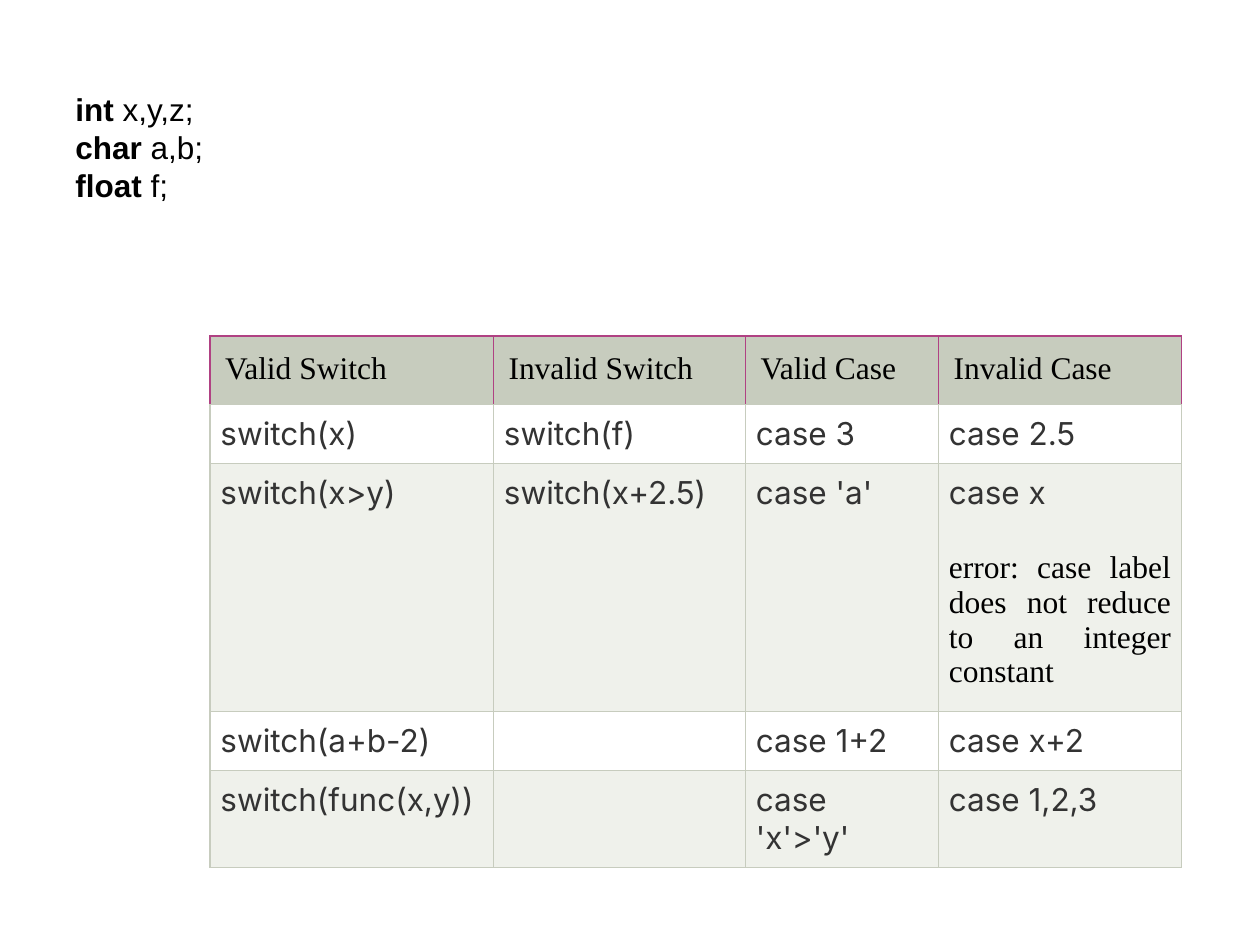
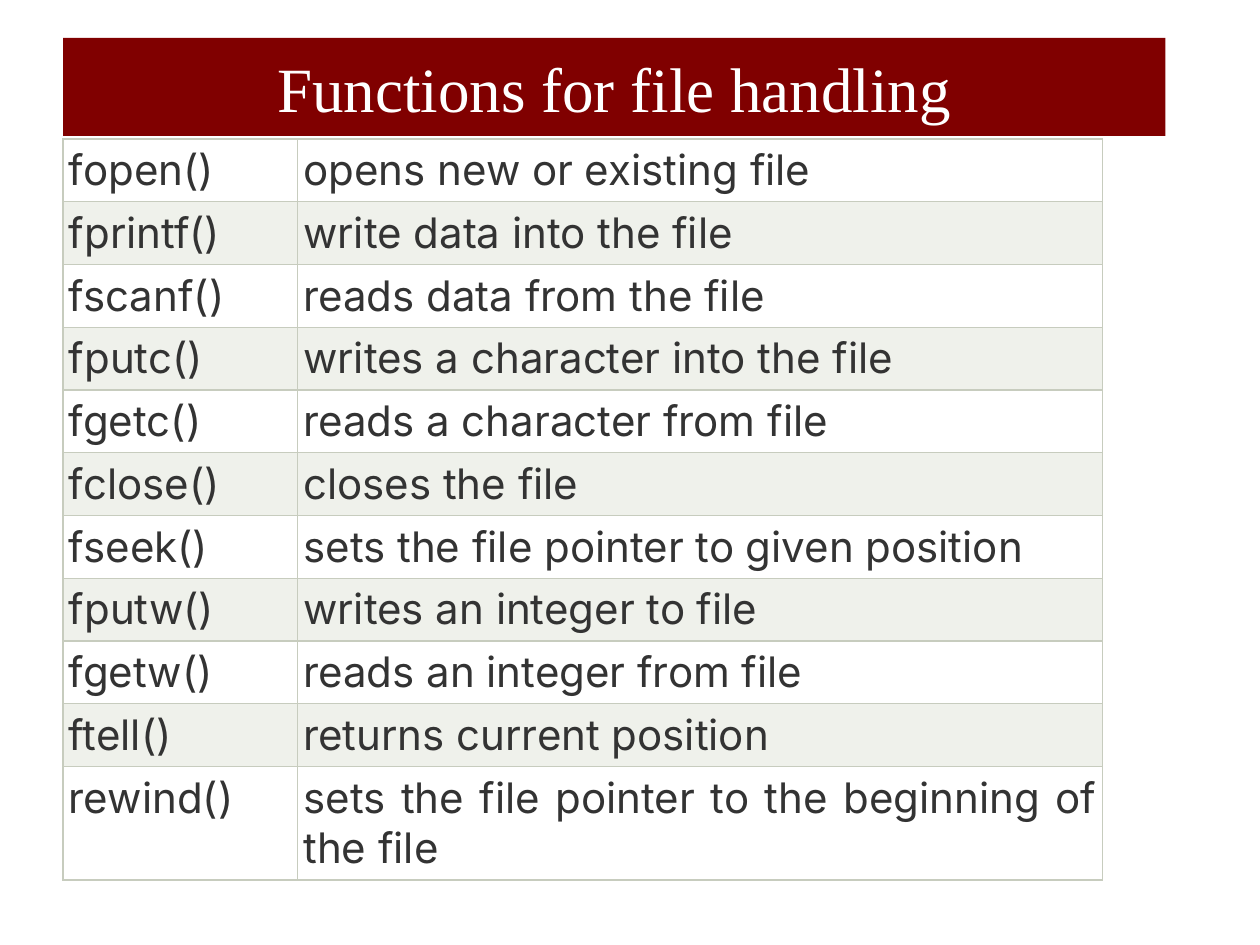
from dataclasses import dataclass

from lxml.etree import SubElement
from pptx import Presentation
from pptx.dml.color import RGBColor as RGB
from pptx.enum.text import MSO_ANCHOR as ANCHOR, PP_ALIGN as ALIGN
from pptx.oxml.ns import qn
from pptx.util import Pt


@dataclass(frozen=True)
class Theme:
    black: str = "000000"
    white: str = "FFFFFF"
    body_text: str = "333333"
    band: str = "EFF1EB"
    sage: str = "C7CCBE"
    magenta: str = "B04183"
    title_fill: str = "800000"
    code_font: str = "Arial"
    body_font: str = "Inter"
    serif_font: str = "Times New Roman"
    title_size: float = 36
    large_size: float = 24
    normal_size: float = 18
    border_width: float = 0.75


T = Theme()

DECLARATIONS = [("int", " x,y,z;"), ("char", " a,b;"), ("float", " f;")]

SWITCH_HEADERS = ["Valid Switch", "Invalid Switch", "Valid Case", "Invalid Case"]
SWITCH_ROWS = [
    ["switch(x)", "switch(f)", "case 3", "case 2.5"],
    ["switch(x>y)", "switch(x+2.5)", "case 'a'", "case x"],
    ["switch(a+b-2)", "", "case 1+2", "case x+2"],
    ["switch(func(x,y))", "", "case 'x'>'y'", "case 1,2,3"],
]
CASE_ERROR = "error: case label does not reduce to an integer constant"

FILE_FUNCTIONS = [
    ["fopen()", "opens new or existing file"],
    ["fprintf()", "write data into the file"],
    ["fscanf()", "reads data from the file"],
    ["fputc()", "writes a character into the file"],
    ["fgetc()", "reads a character from file"],
    ["fclose()", "closes the file"],
    ["fseek()", "sets the file pointer to given position"],
    ["fputw()", "writes an integer to file"],
    ["fgetw()", "reads an integer from file"],
    ["ftell()", "returns current position"],
    ["rewind()", "sets the file pointer to the beginning of the file"],
]


def place(shape, left, top, width, height):
    shape.left, shape.top = Pt(left), Pt(top)
    shape.width, shape.height = Pt(width), Pt(height)


def add_run(p, text, font, size, color, bold=False):
    r = p.add_run()
    r.text = text
    r.font.name, r.font.size, r.font.bold = font, Pt(size), bold
    r.font.color.rgb = RGB.from_string(color)


def add_title(s, text):
    title = s.shapes.title
    place(title, 36, 21.6, 630, 56)
    title.fill.solid()
    title.fill.fore_color.rgb = RGB.from_string(T.title_fill)
    tf = title.text_frame
    tf.vertical_anchor = ANCHOR.MIDDLE
    p = tf.paragraphs[0]
    p.alignment = ALIGN.CENTER
    add_run(p, text, T.serif_font, T.title_size, T.white)


def add_declarations(s, declarations):
    """Write C declarations, one a line, with the type in bold."""
    box = s.shapes.add_textbox(Pt(36), Pt(48), Pt(612), Pt(116.6))
    tf = box.text_frame
    tf.word_wrap = True
    for i, (c_type, names) in enumerate(declarations):
        p = tf.add_paragraph() if i else tf.paragraphs[0]
        p.line_spacing = Pt(21.7)
        add_run(p, c_type, T.code_font, T.normal_size, T.black, bold=True)
        add_run(p, names, T.code_font, T.normal_size, T.black)


def set_borders(cell, color, bottom):
    """Line the four edges of a cell; they must precede its fill in the XML."""
    tc_pr = cell._tc.get_or_add_tcPr()
    for edge in ("lnL", "lnR", "lnT", "lnB"):
        ln = SubElement(tc_pr, qn(f"a:{edge}"), w=str(Pt(T.border_width)))
        fill = SubElement(ln, qn("a:solidFill"))
        SubElement(fill, qn("a:srgbClr"), val=bottom if edge == "lnB" else color)


def format_cell(cell, fill, inset, border=T.sage):
    set_borders(cell, border, T.sage)
    cell.fill.solid()
    cell.fill.fore_color.rgb = RGB.from_string(fill)
    cell.margin_left = cell.margin_right = Pt(inset)
    cell.margin_top = cell.margin_bottom = Pt(inset)


def add_table(s, left, top, col_widths, row_heights):
    frame = s.shapes.add_table(len(row_heights), len(col_widths), Pt(left), Pt(top),
                               Pt(sum(col_widths)), Pt(sum(row_heights)))
    table = frame.table
    table.first_row = table.horz_banding = False
    for column, width in zip(table.columns, col_widths):
        column.width = Pt(width)
    for row, height in zip(table.rows, row_heights):
        row.height = Pt(height)
    return table


def fill_header(table, headers):
    for cell, text in zip(table.rows[0].cells, headers):
        format_cell(cell, T.sage, 8.64, T.magenta)
        add_run(cell.text_frame.paragraphs[0], text, T.serif_font, T.normal_size, T.black)


def fill_body(table, rows, first, size, inset):
    """Fill rows from index first on, alternating white and tinted bands."""
    for i, texts in enumerate(rows):
        for cell, text in zip(table.rows[first + i].cells, texts):
            format_cell(cell, T.band if i % 2 else T.white, inset)
            p = cell.text_frame.paragraphs[0]
            p.alignment = ALIGN.JUSTIFY
            if text:
                add_run(p, text, T.body_font, size, T.body_text)


def add_cell_note(cell, text):
    p = cell.text_frame.add_paragraph()
    p.alignment = ALIGN.JUSTIFY
    p.space_before = Pt(21.75)
    add_run(p, text, T.serif_font, T.normal_size, T.black)


def build_switch_slide(prs):
    s = prs.slides.add_slide(prs.slide_layouts[6])
    add_declarations(s, DECLARATIONS)
    table = add_table(s, 120, 192, [162, 144, 110.3, 138.9],
                      [39.4, 33.5, 141.4, 33.5, 55.5])
    fill_header(table, SWITCH_HEADERS)
    fill_body(table, SWITCH_ROWS, 1, T.normal_size, 6)
    add_cell_note(table.cell(2, 3), CASE_ERROR)


def build_file_slide(prs):
    s = prs.slides.add_slide(prs.slide_layouts[5])
    add_title(s, "Functions for file handling")
    row_heights = [35.86] * (len(FILE_FUNCTIONS) - 1) + [64.9]
    table = add_table(s, 36, 79.4, [134, 460], row_heights)
    fill_body(table, FILE_FUNCTIONS, 0, T.large_size, 3.4)


def main():
    prs = Presentation()
    prs.slide_width, prs.slide_height = Pt(720), Pt(540)
    build_switch_slide(prs)
    build_file_slide(prs)
    prs.save("out.pptx")


if __name__ == "__main__":
    main()
